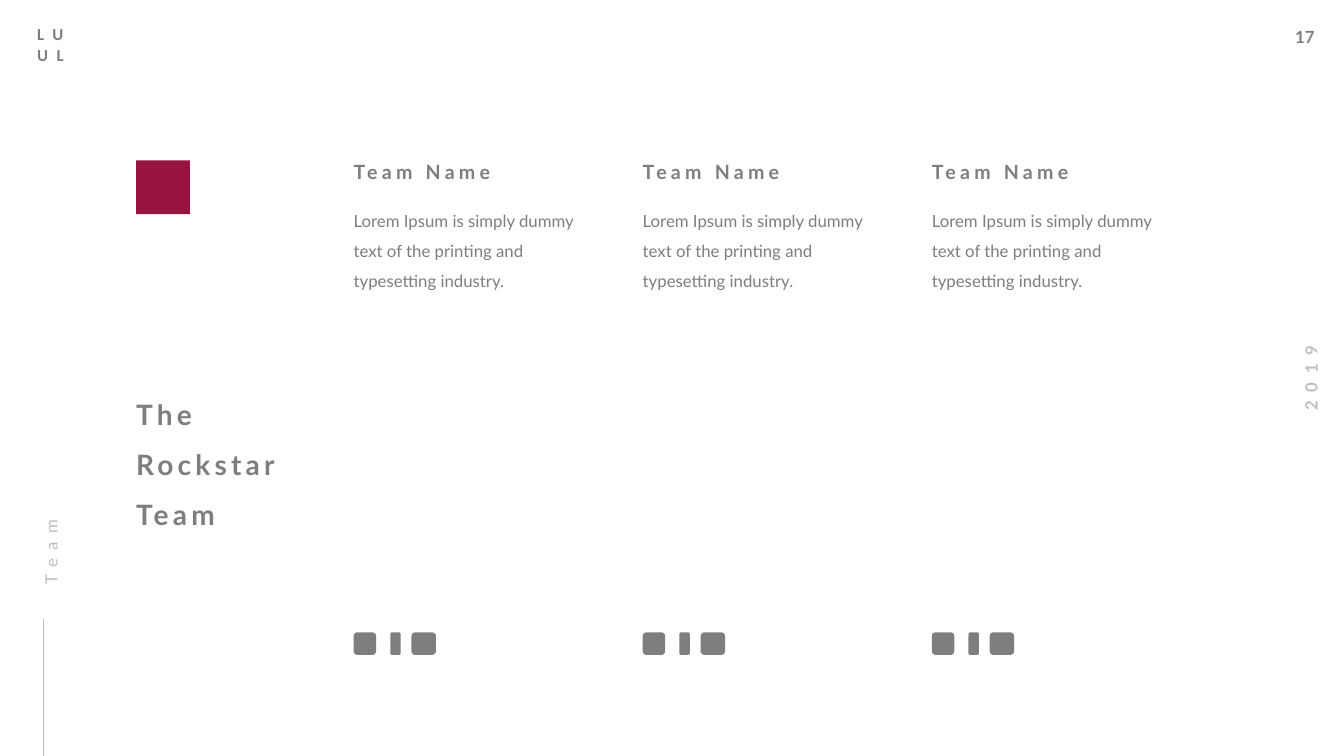
import pptx
import pptx.util
import pptx.dml.color
import pptx.enum.shapes
import pptx.enum.text
import pptx.oxml
from pptx.oxml.ns import nsdecls

Pt = pptx.util.Pt
RGB = pptx.dml.color.RGBColor
SHAPES = pptx.enum.shapes.MSO_SHAPE
ALIGN = pptx.enum.text.PP_ALIGN


class Theme:
    """Colours and text styles; spacing is the gap between letters."""
    width, height = 960, 540
    gray = RGB.from_string("7E7E7E")
    pale = RGB.from_string("BFBFBF")
    accent = RGB.from_string("981441")
    title = {"font": {"name": "Lato", "size": Pt(20), "bold": True}, "color": gray, "spacing": 3}
    name = {"font": {"name": "Lato", "size": Pt(14), "bold": True}, "color": gray, "spacing": 3}
    body = {"font": {"name": "Lato", "size": Pt(12), "bold": False}, "color": gray, "spacing": 0}
    number = {"font": {"name": "Lato", "size": Pt(12), "bold": True}, "color": gray, "spacing": 0}
    year = {"font": {"name": "Lato", "size": Pt(12), "bold": True}, "color": pale, "spacing": 6}
    section = {"font": {"name": "Lato", "size": Pt(12), "bold": False}, "color": pale, "spacing": 6}
    monogram = {"font": {"name": "Calibri", "size": Pt(12), "bold": True}, "color": gray, "spacing": 6}


FLUSH = (0, 0, 7.2, 0)
PADDED = (7.2, 3.6, 7.2, 3.6)


def set_values(target, values):
    for attribute, value in values.items():
        setattr(target, attribute, value)


def write(shape, lines, style, margins=FLUSH, wrap=True, gap=0, paragraph_format=None):
    """Fill a shape with one paragraph per line, gap points apart."""
    frame = shape.text_frame
    left, top, right, bottom = margins
    set_values(frame, {
        "margin_left": Pt(left), "margin_top": Pt(top),
        "margin_right": Pt(right), "margin_bottom": Pt(bottom),
        "word_wrap": wrap, "auto_size": pptx.enum.text.MSO_AUTO_SIZE.NONE,
        "vertical_anchor": pptx.enum.text.MSO_ANCHOR.TOP,
    })
    for index, line in enumerate(lines):
        paragraph = frame.add_paragraph() if index else frame.paragraphs[0]
        set_values(paragraph, {"alignment": ALIGN.LEFT, "space_before": Pt(gap if index else 0),
                               **(paragraph_format or {})})
        run = paragraph.add_run()
        run.text = line
        set_values(run.font, style["font"])
        run.font.color.rgb = style["color"]
        run._r.get_or_add_rPr().set("spc", str(style["spacing"] * 100))


def add_text(slide, box, lines, style, rotation=0, **options):
    shape = slide.shapes.add_textbox(*map(Pt, box))
    shape.rotation = rotation
    write(shape, lines, style, **options)


def add_block(slide, kind, box, color):
    shape = slide.shapes.add_shape(kind, *map(Pt, box))
    shape.shadow.inherit = False
    shape.fill.solid()
    shape.fill.fore_color.rgb = color
    shape.line.fill.background()


def add_frame(slide, left, top, width, height):
    """Monogram, page number, year and section mark along the page edges."""
    right, middle = left + width, top + height / 2
    add_text(slide, (left + 19.5, top + 13.7, 42.5, 36), ["LU", "UL"], Theme.monogram, margins=PADDED)
    add_text(slide, (right - 42, top + 15.8, 29.5, 21.6), ["17"], Theme.number,
             margins=PADDED, wrap=False)
    add_text(slide, (right - 57, middle - 10.8, 67, 21.6), ["2019"], Theme.year, rotation=270,
             margins=PADDED, wrap=False, paragraph_format={"alignment": ALIGN.CENTER})
    add_text(slide, (left - 35.3, middle + 71.3, 133.2, 18.7), ["Team"], Theme.section,
             rotation=270, paragraph_format={"line_spacing": 1.5})
    bottom = top + height
    rule = slide.shapes.add_connector(pptx.enum.shapes.MSO_CONNECTOR.STRAIGHT,
                                      Pt(left + 31), Pt(bottom), Pt(left + 31), Pt(bottom - 98))
    rule.line.color.rgb = Theme.pale
    rule.line.width = Pt(0.5)
    rule._element.spPr.append(pptx.oxml.parse_xml(f"<a:effectLst {nsdecls('a')}/>"))


def add_heading(slide, left, top, width, height):
    """Accent square above, slide title at the bottom of the box."""
    add_block(slide, SHAPES.RECTANGLE, (left, top, 38.4, 38.4), Theme.accent)
    title = slide.shapes.title
    title_height = 97.2
    set_values(title, {"left": Pt(left), "top": Pt(top + height - title_height),
                       "width": Pt(width), "height": Pt(title_height)})
    write(title, ["The", "Rockstar", "Team"], Theme.title, gap=12)


def add_member(slide, left, top, width, height):
    """Name and text at the top, three plain social marks at the bottom."""
    mark_height = 16.1
    add_text(slide, (left, top, width, 17.3), ["Team Name"], Theme.name)
    add_text(slide, (left, top + 28.8, width, 62.6),
             ["Lorem Ipsum is simply dummy text of the printing and typesetting industry."],
             Theme.body, paragraph_format={"line_spacing": 1.5})
    for offset, mark_width in ((0, 16.1), (26.2, 7.4), (41.3, 17.5)):
        add_block(slide, SHAPES.ROUNDED_RECTANGLE,
                  (left + offset, top + height - mark_height, mark_width, mark_height), Theme.gray)


def main():
    presentation = pptx.Presentation()
    presentation.slide_width, presentation.slide_height = Pt(Theme.width), Pt(Theme.height)
    title_only = presentation.slide_layouts[5]
    slide = presentation.slides.add_slide(title_only)
    content_top = 114.5
    add_frame(slide, 0, 0, Theme.width, Theme.height)
    add_heading(slide, 97.2, content_top, 136.8, 266.4)
    for column in range(3):
        add_member(slide, 252.6 + column * 206.5, content_top, 169.2, 353.3)
    presentation.save("out.pptx")


if __name__ == "__main__":
    main()
